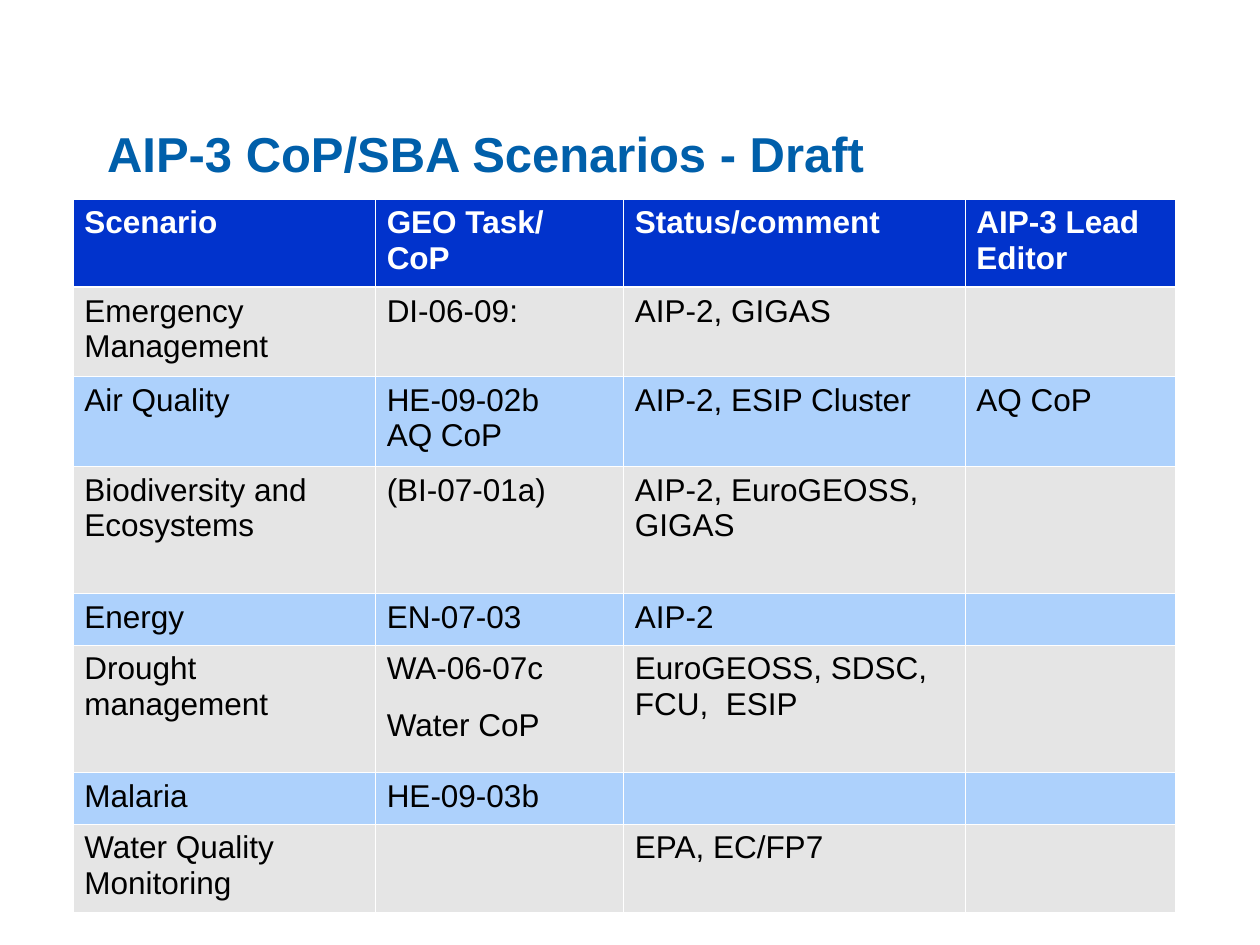
from lxml.etree import SubElement
from pptx import Presentation
from pptx.dml.color import RGBColor
from pptx.enum.text import MSO_ANCHOR, PP_ALIGN
from pptx.oxml.ns import qn
from pptx.util import Inches, Pt

WHITE = "FFFFFF"
HEADER_FILL = "0133CC"
BAND_FILLS = ("E5E5E5", "ADD1FC")
THIN, THICK = 0.45, 1.47

COLUMN_WIDTHS = (2.4, 1.97, 2.71, 1.67)
ROW_HEIGHTS = (0.7, 0.71, 0.71, 1.01, 0.41, 1.01, 0.41, 0.7)
# "\v" is a line break, "\n" starts a new paragraph.
SCENARIOS = (
    ("Scenario", "GEO Task/ CoP", "Status/comment", "AIP-3 Lead Editor"),
    ("Emergency Management", "DI-06-09:", "AIP-2, GIGAS", ""),
    ("Air Quality", "HE-09-02b\vAQ CoP", "AIP-2, ESIP Cluster", "AQ CoP"),
    ("Biodiversity and Ecosystems", "(BI-07-01a)", "AIP-2, EuroGEOSS, GIGAS", ""),
    ("Energy", "EN-07-03", "AIP-2", ""),
    ("Drought management", "WA-06-07c\nWater CoP", "EuroGEOSS, SDSC, FCU,  ESIP", ""),
    ("Malaria", "HE-09-03b", "", ""),
    ("Water Quality Monitoring", "", "EPA, EC/FP7", ""),
)


def rgb(color):
    return RGBColor.from_string(color)


def write(frame, text, size=18, color="000000", bold=False, gap=12):
    """Fill a text frame, with gap points between its paragraphs."""
    frame.word_wrap = True
    frame.text = text
    for index, para in enumerate(frame.paragraphs):
        para.alignment = PP_ALIGN.LEFT
        para.space_before = Pt(gap if index else 0)
        para.font.size = Pt(size)
        for span in para.runs:
            span.font.name = "Arial"
            span.font.size = Pt(size)
            span.font.bold = bold
            span.font.color.rgb = rgb(color)


def set_borders(cell, color, **widths):
    """Draw cell borders; widths in points are keyed by side (L, R, T, B)."""
    properties = cell._tc.get_or_add_tcPr()
    for side, width in widths.items():
        line = SubElement(properties, qn(f"a:ln{side}"), w=str(Pt(width)))
        fill = SubElement(line, qn("a:solidFill"))
        SubElement(fill, qn("a:srgbClr"), val=color)


class SlideBuilder:
    def __init__(self, deck):
        self.page = deck.slides.add_slide(deck.slide_layouts[5])
        self.page.background.fill.solid()
        self.page.background.fill.fore_color.rgb = rgb(WHITE)

    def title(self, text, left, top, width, height):
        box = self.page.shapes.title
        box.left, box.top = Inches(left), Inches(top)
        box.width, box.height = Inches(width), Inches(height)
        box.text_frame.vertical_anchor = MSO_ANCHOR.MIDDLE
        write(box.text_frame, text, size=28, color="005FAA", bold=True)

    def table(self, rows, left, top, column_widths, row_heights):
        table = self.page.shapes.add_table(
            len(rows), len(column_widths), Inches(left), Inches(top),
            Inches(sum(column_widths)), Inches(sum(row_heights)),
        ).table
        table.horz_banding = False
        for column, width in zip(table.columns, column_widths):
            column.width = Inches(width)
        for row, height in zip(table.rows, row_heights):
            row.height = Inches(height)
        for index, texts in enumerate(rows):
            for column, text in enumerate(texts):
                self.cell(table.cell(index, column), text, index)

    def cell(self, cell, text, row):
        header = row == 0
        cell.margin_left = cell.margin_right = Inches(0.09)
        cell.margin_top = cell.margin_bottom = Inches(0.05)
        set_borders(cell, WHITE, L=THIN, R=THIN,
                    T=THICK if row == 1 else THIN, B=THICK if header else THIN)
        cell.fill.solid()
        cell.fill.fore_color.rgb = rgb(HEADER_FILL if header else BAND_FILLS[(row - 1) % 2])
        write(cell.text_frame, text, color=WHITE if header else "000000", bold=header)


def main():
    deck = Presentation()
    deck.slide_width, deck.slide_height = Inches(10), Inches(7.5)
    builder = SlideBuilder(deck)
    builder.title("AIP-3 CoP/SBA Scenarios - Draft", 0.75, 0.92, 8.5, 0.59)
    builder.table(SCENARIOS, 0.58, 1.58, COLUMN_WIDTHS, ROW_HEIGHTS)
    deck.save("out.pptx")


if __name__ == "__main__":
    main()
